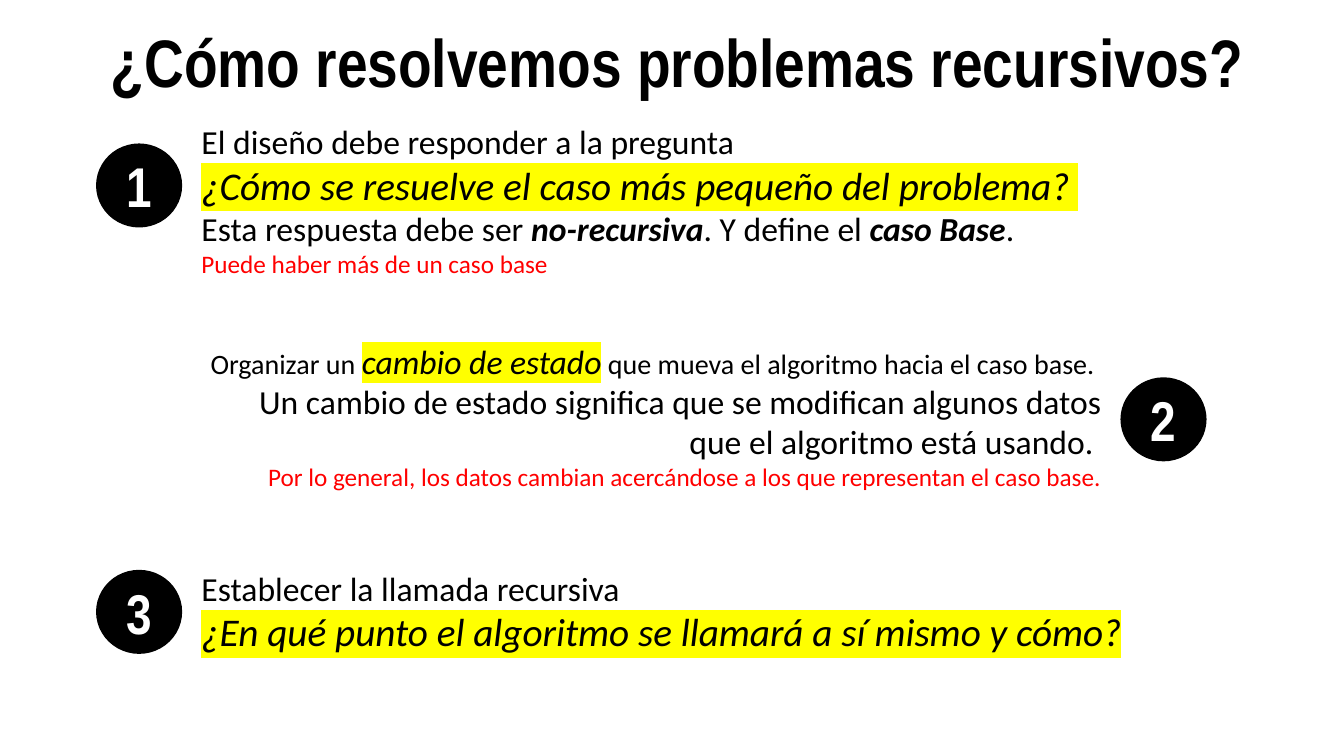
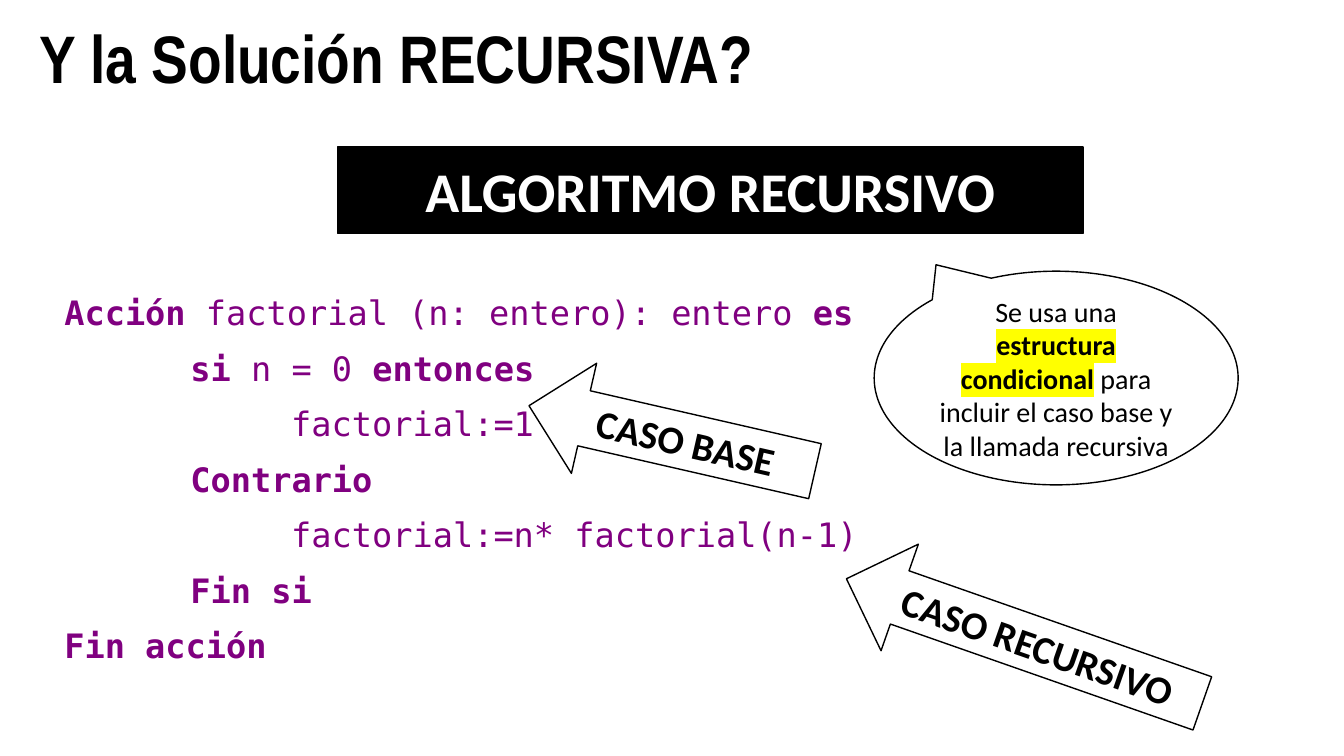
from dataclasses import dataclass

from lxml.etree import SubElement
from pptx import Presentation
from pptx.dml.color import RGBColor
from pptx.enum.shapes import MSO_SHAPE
from pptx.enum.text import MSO_ANCHOR, MSO_AUTO_SIZE, PP_ALIGN
from pptx.oxml.ns import qn
from pptx.util import Inches, Pt


@dataclass(frozen=True)
class Theme:
    black: str = "000000"
    white: str = "FFFFFF"
    red: str = "FF0000"
    purple: str = "800080"
    yellow: str = "FFFF00"
    heading_font: str = "Arial Narrow"
    body_font: str = "Calibri"
    code_font: str = "DejaVu Sans Mono"
    title: int = 48
    banner: int = 40
    question: int = 28
    body: int = 24
    small: int = 20
    note: int = 18


THEME = Theme()
TITLE_ONLY = 5

# Text formats; each span adds its own to the one of its box
HEADING = dict(name=THEME.heading_font, size=THEME.title, bold=True, color=THEME.black)
BADGE = dict(name=THEME.heading_font, size=THEME.banner, bold=True, color=THEME.white)
BANNER = BADGE | dict(name=THEME.body_font)
BODY = dict(name=THEME.body_font, size=THEME.body, color=THEME.black)
ARROW = BODY | dict(size=THEME.question, bold=True)
CALLOUT = BODY | dict(size=THEME.small)
CODE = dict(name=THEME.code_font, size=THEME.body, color=THEME.purple)
PLAIN = {}
BOLD = dict(bold=True)
STRONG = dict(bold=True, italic=True)
SMALL = dict(size=THEME.small)
NOTE = dict(size=THEME.note, color=THEME.red)
MARKED = dict(italic=True, highlight=THEME.yellow)
QUESTION = MARKED | dict(size=THEME.question)
KEYWORD = dict(bold=True, highlight=THEME.yellow)

# Steps: box, badge drop, badge on the right, paragraphs of (text, format)
STEPS = [
    ((0.96, 1.15, 10.58, 1.68), 0.28, False, [
        [("El diseño debe responder a la pregunta", PLAIN)],
        [("¿Cómo se resuelve el caso más pequeño del problema? ", QUESTION)],
        [("Esta respuesta debe ser ", PLAIN), ("no-recursiva", STRONG),
         (". Y define el ", PLAIN), ("caso Base", STRONG), (".", PLAIN)],
        [("Puede haber más de un caso base", NOTE)],
    ]),
    ((1.9, 3.33, 10.06, 1.62), 0.42, True, [
        [("Organizar un ", SMALL), ("cambio de estado", MARKED),
         (" que mueva el algoritmo hacia el caso base. ", SMALL)],
        [("Un cambio de estado significa que se modifican algunos datos "
          "que el algoritmo está usando. ", PLAIN)],
        [("Por lo general, los datos cambian acercándose a los que "
          "representan el caso base.", NOTE)],
    ]),
    ((0.96, 5.58, 10.58, 0.98), 0.08, False, [
        [("Establecer la llamada recursiva", PLAIN)],
        [("¿En qué punto el algoritmo se llamará a sí mismo y cómo?", QUESTION)],
    ]),
]

# Code lines: nesting level and spans
CODE_LINES = [
    (0, [("Acción", BOLD), (" factorial (n: entero): entero ", PLAIN), ("es", BOLD)]),
    (1, [("si", BOLD), (" n = 0 ", PLAIN), ("entonces", BOLD)]),
    (2, [("factorial:=1", PLAIN)]),
    (1, [("Contrario", BOLD)]),
    (2, [("factorial:=n* factorial(n-1)", PLAIN)]),
    (1, [("Fin si", BOLD)]),
    (0, [("Fin acción", BOLD)]),
]
CODE_INDENTS = (0, 1.25, 2.25)

ARROWS = [
    ("CASO BASE", (5.21, 3.79, 2.91, 1.12), 12.9),
    ("CASO RECURSIVO", (8.29, 5.8, 3.74, 1.12), 19.3),
]


def inches(box):
    return [Inches(length) for length in box]


def format_span(span, values):
    values = dict(values)
    color = values.pop("color")
    highlight = values.pop("highlight", None)
    values["size"] = Pt(values["size"])
    for key, value in values.items():
        setattr(span.font, key, value)
    span.font.color.rgb = RGBColor.from_string(color)
    if highlight:
        properties = span.font._element if hasattr(span.font, "_element") else span._r.get_or_add_rPr()
        mark = SubElement(properties, qn("a:highlight"))
        SubElement(mark, qn("a:srgbClr"), val=highlight)
        properties.find(qn("a:solidFill")).addnext(mark)


def write(frame, paragraphs, base, align=PP_ALIGN.LEFT, anchor=MSO_ANCHOR.TOP):
    settings = dict(word_wrap=True, auto_size=MSO_AUTO_SIZE.NONE, vertical_anchor=anchor)
    for key, value in settings.items():
        setattr(frame, key, value)
    for index, spans in enumerate(paragraphs):
        para = frame.add_paragraph() if index else frame.paragraphs[0]
        para.alignment = align
        for text, extra in spans:
            span = para.add_run()
            span.text = text
            format_span(span, base | extra)


def add_title(page, box, text, align, anchor):
    title = page.shapes.title
    title.left, title.top, title.width, title.height = inches(box)
    write(title.text_frame, [[(text, PLAIN)]], HEADING, align, anchor)


def add_text(page, box, paragraphs, base, **layout):
    frame = page.shapes.add_textbox(*inches(box)).text_frame
    write(frame, paragraphs, base, **layout)
    return frame


def add_figure(page, kind, box, fill, spans, base):
    figure = page.shapes.add_shape(kind, *inches(box))
    figure.shadow.inherit = False
    figure.fill.solid()
    figure.fill.fore_color.rgb = RGBColor.from_string(fill)
    figure.line.color.rgb = RGBColor.from_string(THEME.black)
    figure.line.width = Pt(1)
    write(figure.text_frame, [spans], base, PP_ALIGN.CENTER, MSO_ANCHOR.MIDDLE)
    return figure


def add_step(page, box, number, drop, badge_right, paragraphs):
    """Numbered badge at one end of the box, text in the rest."""
    left, top, width, height = box
    badge_width, badge_height, gap = 0.84, 0.82, 0.1
    offset = badge_width + gap
    badge_left = left + width - badge_width if badge_right else left
    text_left = left if badge_right else left + offset
    add_figure(page, MSO_SHAPE.FLOWCHART_CONNECTOR,
               (badge_left, top + drop, badge_width, badge_height),
               THEME.black, [(str(number), PLAIN)], BADGE)
    add_text(page, (text_left, top, width - offset, height), paragraphs, BODY,
             align=PP_ALIGN.RIGHT if badge_right else PP_ALIGN.LEFT)


def add_code(page, box):
    frame = add_text(page, box, [spans for _, spans in CODE_LINES], CODE,
                     anchor=MSO_ANCHOR.MIDDLE)
    for index, (para, (level, _)) in enumerate(zip(frame.paragraphs, CODE_LINES)):
        properties = para._p.get_or_add_pPr()
        properties.set("marL", str(Inches(CODE_INDENTS[level])))
        properties.set("indent", "0")
        if index:
            para.space_before = Pt(10.8)


def add_callout(page, box):
    callout = add_figure(page, MSO_SHAPE.OVAL_CALLOUT, box, THEME.white, [
        ("Se usa una ", PLAIN), ("estructura condicional", KEYWORD),
        (" para incluir el caso base y la llamada recursiva", PLAIN)], CALLOUT)
    callout.adjustments[0], callout.adjustments[1] = -0.33, -0.53


def add_arrow(page, box, text, angle):
    arrow = add_figure(page, MSO_SHAPE.LEFT_ARROW, box, THEME.white,
                       [(text, PLAIN)], ARROW)
    arrow.rotation = angle


def build_steps_page(deck):
    page = deck.slides.add_slide(deck.slide_layouts[TITLE_ONLY])
    add_title(page, (0.6, 0.06, 12.24, 1.09), "¿Cómo resolvemos problemas recursivos?",
              PP_ALIGN.CENTER, MSO_ANCHOR.MIDDLE)
    for number, (box, drop, badge_right, paragraphs) in enumerate(STEPS, 1):
        add_step(page, box, number, drop, badge_right, paragraphs)


def build_algorithm_page(deck):
    page = deck.slides.add_slide(deck.slide_layouts[TITLE_ONLY])
    add_title(page, (0.29, 0.11, 12.24, 1.25), "Y la Solución RECURSIVA?",
              PP_ALIGN.LEFT, MSO_ANCHOR.TOP)
    # Banner, code and remarks
    add_figure(page, MSO_SHAPE.RECTANGLE, (3.35, 1.46, 7.39, 0.86), THEME.black,
               [("ALGORITMO RECURSIVO", PLAIN)], BANNER)
    add_code(page, (0.54, 2.81, 8.14, 3.88))
    add_callout(page, (8.67, 2.69, 3.61, 2.12))
    for text, box, angle in ARROWS:
        add_arrow(page, box, text, angle)


def main():
    deck = Presentation()
    deck.slide_width, deck.slide_height = Inches(13.33), Inches(7.5)
    build_steps_page(deck)
    build_algorithm_page(deck)
    deck.save("out.pptx")


if __name__ == "__main__":
    main()
